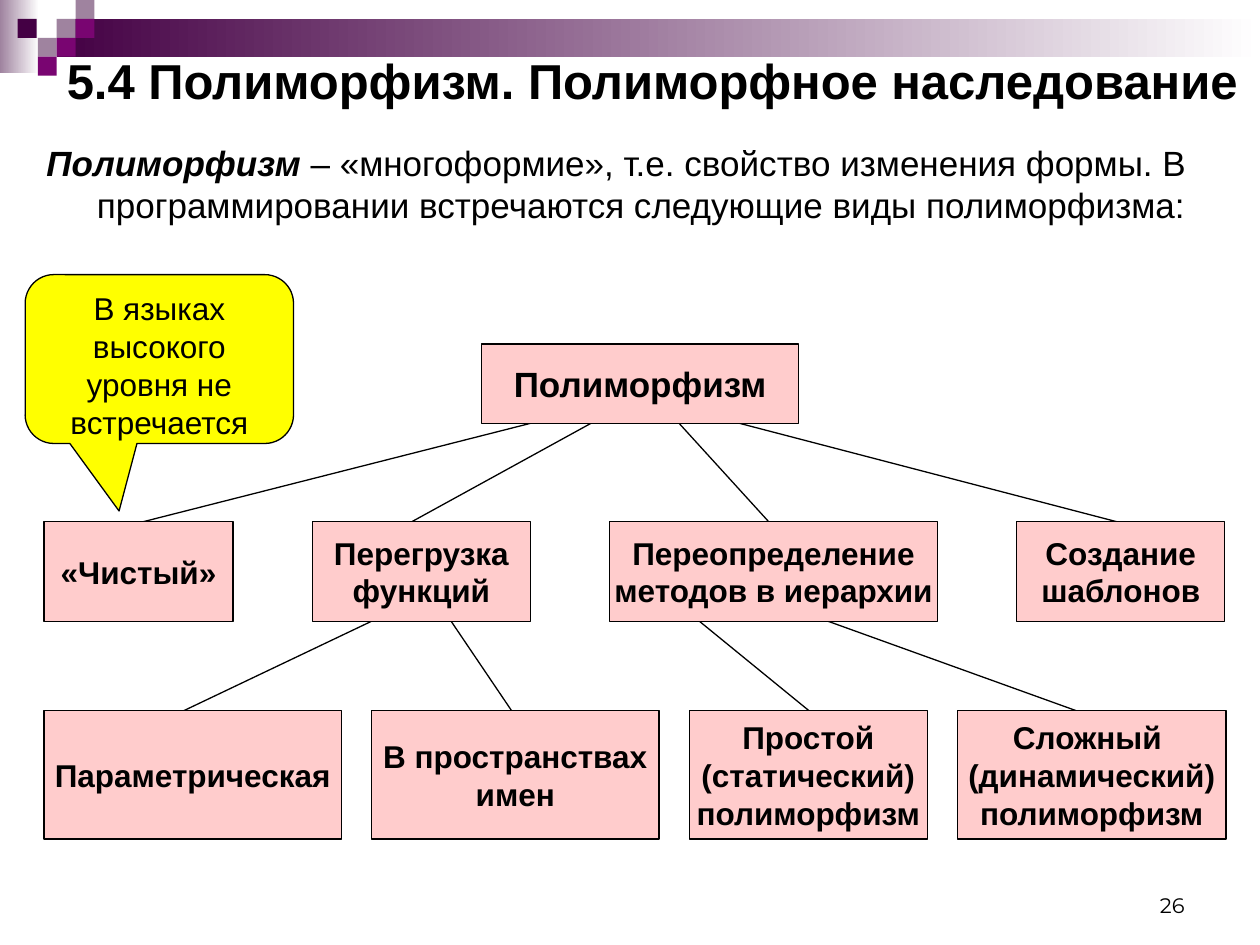
import pptx
from lxml import etree
from pptx.dml.color import RGBColor
from pptx.enum.shapes import MSO_CONNECTOR, MSO_SHAPE
from pptx.enum.text import MSO_ANCHOR, PP_ALIGN
from pptx.oxml.ns import qn
from pptx.util import Inches, Pt

BLACK = RGBColor(0x00, 0x00, 0x00)
WHITE = RGBColor(0xFF, 0xFF, 0xFF)
PINK = RGBColor(0xFF, 0xCC, 0xCC)
YELLOW = RGBColor(0xFF, 0xFF, 0x00)
PLUM = RGBColor(0x44, 0x00, 0x44)
PURPLE = RGBColor(0x79, 0x05, 0x71)
MAUVE = RGBColor(0x9F, 0x83, 0x9F)

TITLE = "5.4 Полиморфизм. Полиморфное наследование"
TERM = "Полиморфизм"
DEFINITION = (" – «многоформие», т.е. свойство изменения формы. "
              "В программировании встречаются следующие виды полиморфизма:")
REMARK = "В языках высокого уровня не встречается"
PAGE = "26"

# Tree levels: top, height, font size, boxes as (left, width, lines)
LEVELS = [
    (2.73, 0.63, 20, [(3.82, 2.52, ["Полиморфизм"])]),
    (4.14, 0.79, 18, [
        (0.35, 1.5, ["«Чистый»"]),
        (2.48, 1.73, ["Перегрузка", "функций"]),
        (4.84, 2.6, ["Переопределение", "методов в иерархии"]),
        (8.07, 1.65, ["Создание", "шаблонов"]),
    ]),
    (5.64, 1.02, 18, [
        (0.35, 2.36, ["Параметрическая"]),
        (2.95, 2.28, ["В пространствах", "имен"]),
        (5.47, 1.89, ["Простой", "(статический)", "полиморфизм"]),
        (7.6, 2.13, ["Сложный ", "(динамический)", "полиморфизм"]),
    ]),
]
# Branches between neighbouring levels: x on the parent, x on the child
BRANCHES = [
    [(4.21, 1.14), (4.69, 3.27), (5.39, 6.1), (5.87, 8.86)],
    [(2.95, 1.46), (3.58, 4.06), (5.55, 6.42), (6.57, 8.54)],
]
BANDS = [(0, 0, 0.31, 0.58, MAUVE), (0.45, 0.15, 9.55, 0.3, PLUM)]
SQUARE = 0.15
SQUARES = [(0.45, 0.15, MAUVE), (0.6, 0, MAUVE), (0.6, 0.15, PURPLE),
           (0.3, 0.3, MAUVE), (0.14, 0.15, PLUM), (0.45, 0.3, PURPLE),
           (0.3, 0.45, PURPLE)]


def add_shape(kind, x, y, w, h, fill=None, outlined=False):
    sp = s.shapes.add_shape(kind, *map(Inches, (x, y, w, h)))
    sp.shadow.inherit = False
    if fill is not None:
        sp.fill.solid()
        sp.fill.fore_color.rgb = fill
    if outlined:
        sp.line.color.rgb = BLACK
        sp.line.width = Pt(0.75)
    else:
        sp.line.fill.background()
    return sp


def write(tf, lines, size, align, bold=False, font="Arial"):
    for i, line in enumerate(lines):
        p = tf.paragraphs[0] if i == 0 else tf.add_paragraph()
        p.text = line
        p.alignment = align
        p.font.name = font
        p.font.size = Pt(size)
        p.font.bold = bold
        p.font.color.rgb = BLACK


def add_branch(x1, y1, x2, y2):
    line = s.shapes.add_connector(MSO_CONNECTOR.STRAIGHT,
                                  *map(Inches, (x1, y1, x2, y2)))
    line.line.color.rgb = BLACK
    line.line.width = Pt(0.75)
    etree.SubElement(line._element.spPr, qn("a:effectLst"))


def place(shape, x, y, w, h):
    shape.left, shape.top, shape.width, shape.height = map(Inches, (x, y, w, h))


prs = pptx.Presentation()
prs.slide_width, prs.slide_height = Inches(10), Inches(7.5)
s = prs.slides.add_slide(prs.slide_layouts[5])

# Corner ornament
for x, y, w, h, color in BANDS:
    band = add_shape(MSO_SHAPE.RECTANGLE, x, y, w, h)
    band.fill.gradient()
    band.fill.gradient_angle = 0
    for stop, position, rgb in zip(band.fill.gradient_stops, (0, 1), (color, WHITE)):
        stop.position = position
        stop.color.rgb = rgb
for x, y, color in SQUARES:
    add_shape(MSO_SHAPE.RECTANGLE, x, y, SQUARE, SQUARE, color)

# Title, moved in front of the ornament
title = s.shapes.title
s.shapes._spTree.append(title._element)
place(title, 0.43, 0.28, 9.57, 0.71)
title.text_frame.vertical_anchor = MSO_ANCHOR.MIDDLE
write(title.text_frame, [TITLE], 28, PP_ALIGN.LEFT, bold=True)

# Definition with a hanging indent
tf = s.shapes.add_textbox(*map(Inches, (0.27, 1.07, 9.29, 1.1))).text_frame
tf.word_wrap = True
write(tf, [TERM], 20, PP_ALIGN.LEFT)
p = tf.paragraphs[0]
p.runs[0].font.bold = p.runs[0].font.italic = True
p.add_run().text = DEFINITION
pPr = p._p.get_or_add_pPr()
pPr.set("marL", str(Inches(0.4)))
pPr.set("indent", str(Inches(-0.4)))

# Tree
for (top, height, *_), (below, *_), branches in zip(LEVELS, LEVELS[1:], BRANCHES):
    for x_parent, x_child in branches:
        add_branch(x_parent, top + height, x_child, below)
for top, height, size, boxes in LEVELS:
    for left, width, lines in boxes:
        tf = add_shape(MSO_SHAPE.RECTANGLE, left, top, width, height,
                       PINK, outlined=True).text_frame
        tf.word_wrap = False
        tf.vertical_anchor = MSO_ANCHOR.MIDDLE
        write(tf, lines, size, PP_ALIGN.CENTER, bold=True)

# Remark on the first kind
callout = add_shape(MSO_SHAPE.ROUNDED_RECTANGULAR_CALLOUT, 0.2, 2.18, 2.13, 1.34,
                    YELLOW, outlined=True)
for i, value in enumerate((-0.15, 0.9, 0.17)):
    callout.adjustments[i] = value
callout.text_frame.vertical_anchor = MSO_ANCHOR.TOP
write(callout.text_frame, [REMARK], 18, PP_ALIGN.CENTER)

# Page number
tf = s.shapes.add_textbox(*map(Inches, (7.17, 6.83, 2.33, 0.5))).text_frame
tf.word_wrap = True
tf.vertical_anchor = MSO_ANCHOR.BOTTOM
write(tf, [PAGE], 12, PP_ALIGN.RIGHT, font="Montserrat")

prs.save("out.pptx")
